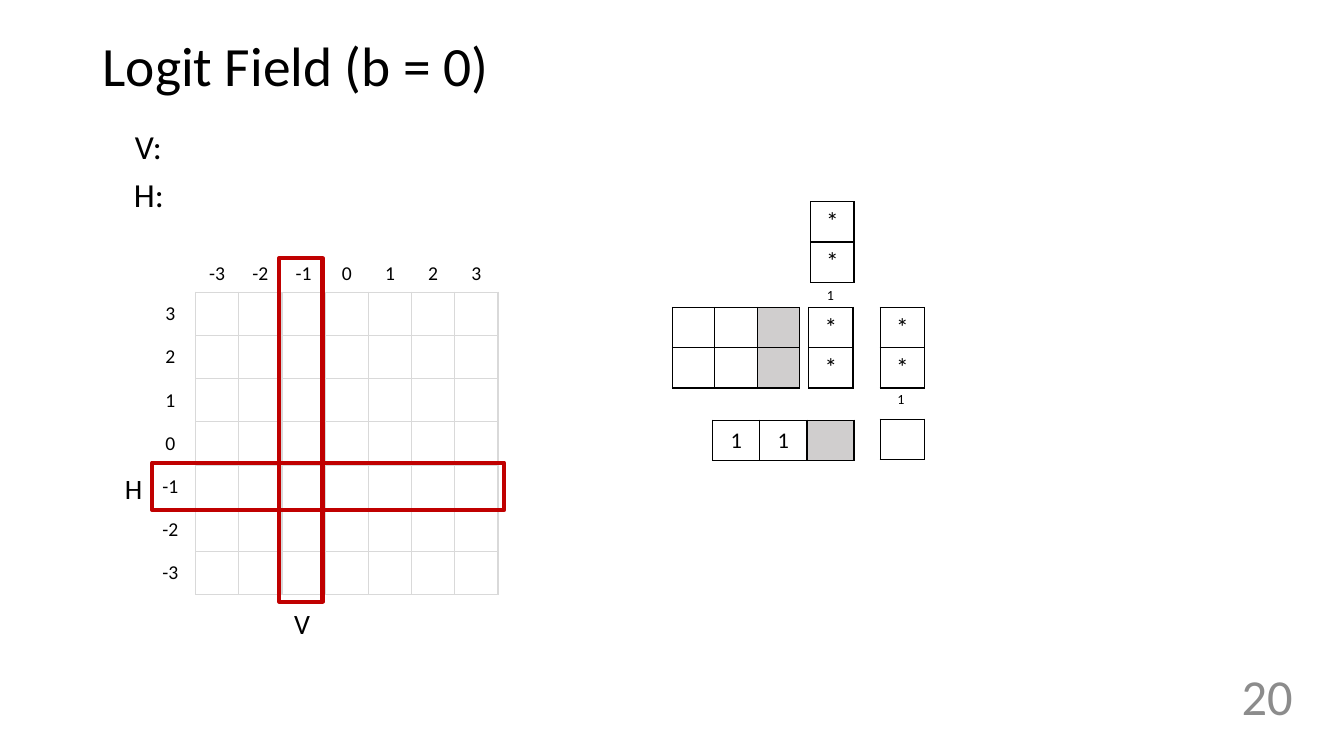
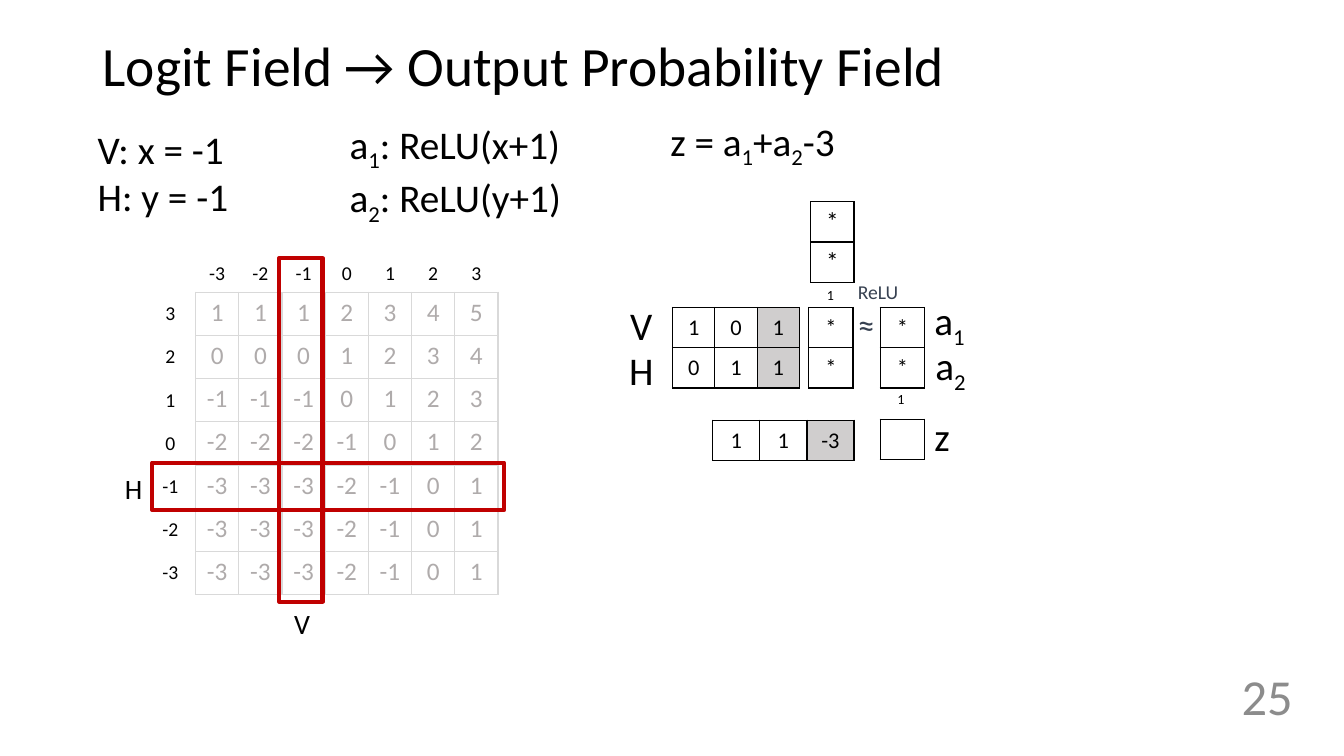
"""Build two slides on the logit field of a small ReLU network."""
from lxml.etree import SubElement
from pptx import Presentation
from pptx.dml.color import RGBColor
from pptx.enum.shapes import MSO_SHAPE as Shape
from pptx.enum.text import MSO_ANCHOR as Anchor, PP_ALIGN as Align
from pptx.oxml.ns import qn
from pptx.util import Inches, Pt

FONT = "Calibri"
COLORS = {
    "text": "000000",
    "number": "8C8C8C",
    "value": "AFABAB",
    "grid": "D9D9D9",
    "bias": "D0CECE",
    "boundary": "C00000",
    "activation": "374151",
}
AXIS = range(-3, 4)
STEP = 0.43
GRID_SIZE = 3
LOOSE = (0, 0.05)
TIGHT = (0.09, 0.04)


def add_text(frame, lines, size, color="text", align=Align.LEFT):
    """Write lines run by run; an underscore lowers the next character."""
    for index, line in enumerate(lines):
        paragraph = frame.paragraphs[0] if index == 0 else frame.add_paragraph()
        paragraph.alignment = align
        first, *rest = line.split("_")
        pieces = [(first, False)]
        for part in rest:
            pieces += [(part[0], True), (part[1:], False)]
        for text, lowered in pieces:
            if not text:
                continue
            run = paragraph.add_run()
            run.text = text
            run.font.name = FONT
            run.font.size = Pt(size)
            run.font.color.rgb = RGBColor.from_string(COLORS[color])
            if lowered:
                run.font._element.set("baseline", "-25000")


def add_grid(slide, box, rows, size, border="text", color="text",
             margins=TIGHT, anchor=Anchor.MIDDLE, bias_column=None):
    """Add a table whose equal cells fill the box."""
    left, top, width, height = box
    frame = slide.shapes.add_table(len(rows), len(rows[0]), Inches(left), Inches(top),
                                   Inches(width), Inches(height))
    table = frame.table
    table.first_row = table.horz_banding = False
    for row in table.rows:
        row.height = Inches(height / len(rows))
    for column in table.columns:
        column.width = Inches(width / len(rows[0]))
    for row_index, row in enumerate(rows):
        for column_index, value in enumerate(row):
            cell = table.cell(row_index, column_index)
            cell.margin_left = cell.margin_right = Inches(margins[0])
            cell.margin_top = cell.margin_bottom = Inches(margins[1])
            cell.vertical_anchor = anchor
            add_text(cell.text_frame, [str(value)], size, color, Align.CENTER)
            properties = cell._tc.get_or_add_tcPr()
            for side in ("a:lnL", "a:lnR", "a:lnT", "a:lnB"):
                line = SubElement(properties, qn(side), w=str(Pt(1)))
                if border:
                    fill = SubElement(line, qn("a:solidFill"))
                    SubElement(fill, qn("a:srgbClr"), val=COLORS[border])
                else:
                    SubElement(line, qn("a:noFill"))
            if column_index == bias_column:
                cell.fill.solid()
                cell.fill.fore_color.rgb = RGBColor.from_string(COLORS["bias"])
            else:
                cell.fill.background()


presentation = Presentation()
presentation.slide_width = Inches(13.33)
presentation.slide_height = Inches(7.5)

logits = [[max(x + 1, 0) + max(y + 1, 0) - 3 for x in AXIS] for y in reversed(AXIS)]
empty_field = [[""] * len(AXIS) for y in AXIS]
stars = [["*"], ["*"]]

pages = [
    {
        "title": "Logit Field (b = 0)",
        "number": "20",
        "field": empty_field,
        "hidden_weights": [[""] * 3] * 2,
        "output_weights": [[1, 1, ""]],
        "star_size": 18,
        "labels": [
            ((1.24, 1.2, 0.47, 0.5), ["V:"], 24),
            ((1.23, 1.68, 0.5, 0.5), ["H:"], 24),
        ],
    },
    {
        "title": "Logit Field → Output Probability Field",
        "number": "25",
        "field": logits,
        "hidden_weights": [[1, 0, 1], [0, 1, 1]],
        "output_weights": [[1, 1, -3]],
        "star_size": 16,
        "labels": [
            ((3.37, 1.14, 2.42, 1.04), ["a_1: ReLU(x+1)", "a_2: ReLU(y+1)"], 28),
            ((0.87, 1.19, 1.51, 1.04), ["V: x = -1", "H: y = -1"], 28),
            ((6.55, 1.11, 1.84, 0.57), ["z = a_1+a_2-3"], 28),
            ((6.15, 2.94, 0.42, 0.57), ["V"], 28),
            ((6.14, 3.39, 0.45, 0.57), ["H"], 28),
            ((9.17, 2.89, 0.54, 0.57), ["a_1"], 28),
            ((9.18, 3.34, 0.54, 0.57), ["a_2"], 28),
            ((9.17, 4.04, 0.36, 0.57), ["z"], 28),
            ((8.41, 2.73, 0.76, 0.33), ["ReLU"], 14, "activation"),
            ((8.41, 2.97, 0.4, 0.5), ["≈"], 24, "activation"),
        ],
    },
]

for page in pages:
    slide = presentation.slides.add_slide(presentation.slide_layouts[6])

    title = slide.shapes.add_textbox(Inches(0.92), Inches(0.4), Inches(11.5), Inches(0.55))
    title.text_frame.word_wrap = True
    title.text_frame.vertical_anchor = Anchor.MIDDLE
    add_text(title.text_frame, [page["title"]], 39.6)
    title.text_frame.paragraphs[0].line_spacing = 0.9

    number = slide.shapes.add_textbox(Inches(11.67), Inches(6.47), Inches(1.25), Inches(0.86))
    number.text_frame.word_wrap = True
    number.text_frame.vertical_anchor = Anchor.MIDDLE
    add_text(number.text_frame, [page["number"]], 36, "number", Align.RIGHT)

    add_grid(slide, (1.94, 2.9, GRID_SIZE, GRID_SIZE), page["field"], 18, "grid", "value",
             LOOSE, Anchor.TOP)
    add_grid(slide, (1.94, 2.55, GRID_SIZE, 0.33), [list(AXIS)], 14, None,
             margins=LOOSE, anchor=Anchor.TOP)
    add_grid(slide, (1.51, 2.9, 0.36, GRID_SIZE), [[y] for y in reversed(AXIS)], 14, None,
             margins=LOOSE)

    add_grid(slide, (8.04, 2, STEP, 0.8), stars, 18)
    add_grid(slide, (6.67, 3.05, 1.26, 0.8), page["hidden_weights"], 16, bias_column=2)
    for left in (8.02, 8.73):
        add_grid(slide, (left, 3.05, 0.44, 0.8), stars, page["star_size"])
    for left, top in ((8.03, 2.77), (8.73, 3.81)):
        add_grid(slide, (left, top, 0.41, 0.32), [[1]], 10, None)
    add_grid(slide, (7.07, 4.17, 1.4, 0.4), page["output_weights"], 16, bias_column=2)
    add_grid(slide, (8.73, 4.16, 0.44, 0.4), [[""]], 16)

    for box in ((1.51, 4.59, 3.49, 0.47), (2.77, 2.56, STEP, 3.41)):
        boundary = slide.shapes.add_shape(Shape.RECTANGLE, *map(Inches, box))
        boundary.shadow.inherit = False
        boundary.fill.background()
        boundary.line.color.rgb = RGBColor.from_string(COLORS["boundary"])
        boundary.line.width = Pt(3)

    boundary_labels = [
        ((1.14, 4.63, 0.38, 0.44), ["H"], 20),
        ((2.82, 5.97, 0.36, 0.44), ["V"], 20),
    ]
    for box, *content in boundary_labels + page["labels"]:
        label = slide.shapes.add_textbox(*map(Inches, box))
        label.text_frame.word_wrap = False
        add_text(label.text_frame, *content)

presentation.save("out.pptx")
